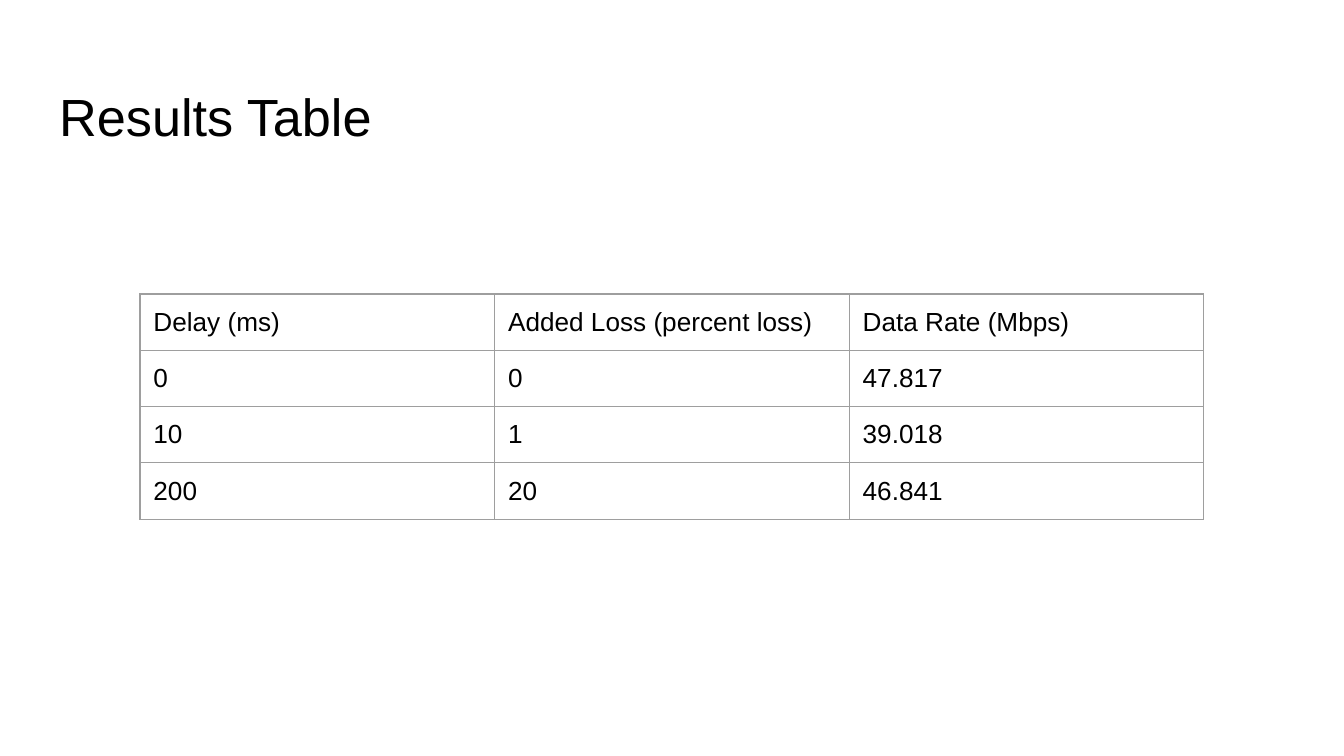
from dataclasses import dataclass

from lxml import etree
from pptx import Presentation
from pptx.dml.color import RGBColor
from pptx.enum.text import MSO_ANCHOR, MSO_AUTO_SIZE, PP_ALIGN
from pptx.oxml.ns import qn
from pptx.util import Pt

TOP = MSO_ANCHOR.TOP
NO_AUTOFIT = MSO_AUTO_SIZE.NONE
LEFT = PP_ALIGN.LEFT

BLACK = RGBColor(0x00, 0x00, 0x00)
GRAY = RGBColor(0x9E, 0x9E, 0x9E)
FONT = "Arial"
INSET = Pt(7.2)
COL_W = Pt(190)
ROW_H = Pt(30)
BORDER_W = Pt(0.75)


@dataclass(frozen=True)
class Result:
    delay: str
    loss: str
    rate: str

    def values(self) -> tuple[str, str, str]:
        return self.delay, self.loss, self.rate


RESULTS = [
    Result("Delay (ms)", "Added Loss (percent loss)", "Data Rate (Mbps)"),
    Result("0", "0", "47.817"),
    Result("10", "1", "39.018"),
    Result("200", "20", "46.841"),
]


def format_text(p, size: float) -> None:
    p.alignment = LEFT
    p.font.name = FONT
    p.font.size = Pt(size)
    p.font.color.rgb = BLACK


def set_borders(cell) -> None:
    tc_pr = cell._tc.get_or_add_tcPr()
    for i, side in enumerate(("a:lnL", "a:lnR", "a:lnT", "a:lnB")):
        ln = etree.Element(qn(side), w=str(BORDER_W))
        fill = etree.SubElement(ln, qn("a:solidFill"))
        etree.SubElement(fill, qn("a:srgbClr"), val=str(GRAY))
        tc_pr.insert(i, ln)


def add_title(slide, text: str) -> None:
    sp = slide.shapes.title
    sp.left, sp.top, sp.width, sp.height = Pt(24.5), Pt(35), Pt(671), Pt(45.5)
    tf = sp.text_frame
    tf.text = text
    tf.auto_size = NO_AUTOFIT
    tf.word_wrap = True
    tf.vertical_anchor = TOP
    tf.margin_left = tf.margin_right = INSET
    tf.margin_top, tf.margin_bottom = Pt(10), 0
    format_text(tf.paragraphs[0], 28)


def add_results(slide, results: list[Result]) -> None:
    rows, cols = len(results), len(results[0].values())
    table = slide.shapes.add_table(
        rows, cols, Pt(75), Pt(157.5), COL_W * cols, ROW_H * rows
    ).table
    table.first_row = table.horz_banding = False
    for r, result in enumerate(results):
        for c, value in enumerate(result.values()):
            cell = table.cell(r, c)
            cell.text = value
            cell.fill.background()
            cell.margin_left = cell.margin_right = INSET
            cell.margin_top = cell.margin_bottom = INSET
            cell.vertical_anchor = TOP
            format_text(cell.text_frame.paragraphs[0], 14)
            set_borders(cell)


def main() -> None:
    prs = Presentation()
    prs.slide_width, prs.slide_height = Pt(720), Pt(405)
    slide = prs.slides.add_slide(prs.slide_layouts[5])
    add_title(slide, "Results Table")
    add_results(slide, RESULTS)
    prs.save("out.pptx")


if __name__ == "__main__":
    main()
